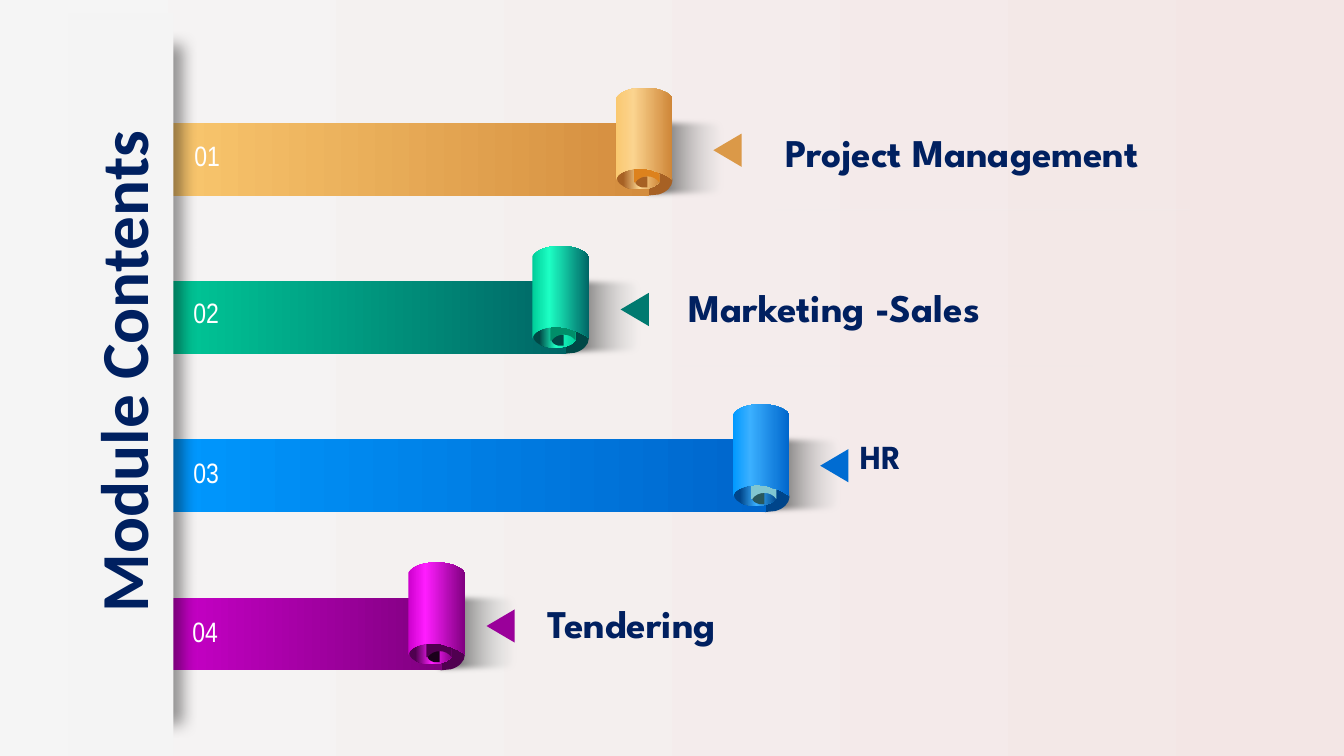
"""Build the Module Contents slide with four ribbon scrolls."""
from copy import deepcopy

from lxml import etree
from pptx import Presentation
from pptx.dml.color import RGBColor
from pptx.enum.shapes import MSO_CONNECTOR, MSO_SHAPE
from pptx.enum.text import MSO_AUTO_SIZE, PP_ALIGN
from pptx.oxml.ns import qn
from pptx.util import Inches, Pt

RECT, OVAL, TRIANGLE = MSO_SHAPE.RECTANGLE, MSO_SHAPE.OVAL, MSO_SHAPE.ISOSCELES_TRIANGLE
STRAIGHT = MSO_CONNECTOR.STRAIGHT
GROW = MSO_AUTO_SIZE.SHAPE_TO_FIT_TEXT
LEFT, CENTER = PP_ALIGN.LEFT, PP_ALIGN.CENTER
NAVY, PANEL = "002060", "F4F4F4"
FIRST_TOP, PITCH, BAR_LEFT = 0.87, 1.57, 1.51

# Pairs are straight segments; six numbers are a cubic curve.
OUTER_CURL = [(0.56, 0.92), (0.56, 0.98, 0.5, 1.04, 0.42, 1.06), (0.32, 1.07), (0.32, 0.76),
              (0.42, 0.77), (0.5, 0.8, 0.56, 0.85, 0.56, 0.92)]
INNER_CURL = [(0.19, 0.93), (0.19, 0.96, 0.22, 0.98, 0.26, 0.99), (0.31, 0.99), (0.31, 0.88),
              (0.26, 0.88), (0.22, 0.89, 0.19, 0.91, 0.19, 0.93)]
INNER_ROLL = [(0.18, 0.51), (0.2, 0.48, 0.25, 0.46, 0.31, 0.46),
              (0.36, 0.46, 0.41, 0.48, 0.43, 0.51), (0.43, 0.94),
              (0.4, 0.9, 0.36, 0.88, 0.31, 0.88), (0.26, 0.88, 0.22, 0.9, 0.19, 0.94),
              (0.18, 0.94)]
OUTER_ROLL = [(0.28, 0), (0.39, 0, 0.51, 0.03, 0.56, 0.1), (0.56, 0.91),
              (0.52, 0.88, 0.48, 0.86, 0.43, 0.84), (0.39, 0.83), (0.34, 0.81),
              (0.31, 0.81, 0.28, 0.8, 0.24, 0.8), (0.13, 0.8, 0.03, 0.84, 0.01, 0.89),
              (0, 0.92), (0, 0.1), (0.05, 0.03, 0.16, 0, 0.28, 0)]

SCROLLS = [
    {"x": 6.11, "bar": ("FAC86F", "D48D3E"), "roll": ("FAC86F", "FBD48F", "CE8537"),
     "oval": ("A76124", "FBD48F", "CE8537"), "curl": "A76124", "core": "A76124", "inside": "DD821D"},
    {"x": 5.28, "bar": ("00CC99", "006666"), "roll": ("00CC99", "1DFFC4", "006666"),
     "oval": ("004846", "1DFFC4", "00CC99"), "curl": "004846", "core": "004846", "inside": "008E69"},
    {"x": 7.27, "bar": ("0099FF", "0066CC"), "roll": ("0099FF", "3BB0FF", "0066CC"),
     "oval": ("00458A", "3BB0FF", "00458A"), "curl": "00458A", "core": "28585E", "inside": "81C6D1"},
    {"x": 4.05, "bar": ("CC00CC", "800080"), "roll": ("CC00CC", "FF1DFF", "800080"),
     "oval": ("500050", "FF1DFF", "800080"), "curl": "500050", "core": "1A001A", "inside": "500050"},
]
ARROWS = [(7.05, 1.35, "DB9948"), (6.13, 2.93, "007A70"),
          (8.11, 4.48, "006CD2"), (4.8, 6.07, "9A009A")]
RULES = [(7.69, 2.08), (6.73, 3.63)]
NUMBER = {"size": Pt(20), "name": "Arial Narrow", "color": "FFFFFF"}
LABEL = {"size": Pt(28), "name": "League Spartan", "color": NAVY, "bold": True}
TEXTS = [
    ("01", (1.83, 1.33, 0.55, 0.44), NUMBER, LEFT, 0),
    ("02", (1.82, 2.88, 0.55, 0.44), NUMBER, LEFT, 0),
    ("03", (1.82, 4.47, 0.55, 0.44), NUMBER, LEFT, 0),
    ("04", (1.81, 6.05, 0.55, 0.44), NUMBER, LEFT, 0),
    ("Project Management", (7.69, 1.22, 4.71, 0.57), LABEL, LEFT, 0),
    ("Marketing -Sales", (6.73, 2.76, 4.95, 0.57), LABEL, LEFT, 0),
    ("HR", (8.43, 4.28, 5.63, 0.5), {**LABEL, "size": Pt(24)}, LEFT, 0),
    ("Tendering", (5.33, 5.9, 4.59, 0.57), LABEL, LEFT, 0),
    ("Module Contents", (-2.47, 3.23, 7.37, 0.91),
     {"size": Pt(48), "name": "Calibri", "color": NAVY, "bold": True}, CENTER, 270),
]

rgb = RGBColor.from_string
prs = Presentation()
prs.slide_width, prs.slide_height = Inches(13.33), Inches(7.5)
s = prs.slides.add_slide(prs.slide_layouts[6])


def paint(sp, *stops):
    """Fill a shape with one colour or a left-to-right gradient."""
    sp.shadow.inherit = False
    sp.line.fill.background()
    if len(stops) == 1:
        sp.fill.solid()
        sp.fill.fore_color.rgb = rgb(stops[0])
        return sp
    sp.fill.gradient()
    sp.fill.gradient_angle = 0
    if len(stops) == 3:
        last = sp._element.spPr.findall(".//" + qn("a:gs"))[-1]
        last.addnext(deepcopy(last))
    for stop, (position, color) in zip(sp.fill.gradient_stops, stops):
        stop.position = position
        stop.color.rgb = rgb(color)
    return sp


def outline(segments, x, y):
    """Draw a closed outline of lines and curves at an offset."""
    ends = [(Inches(x + seg[-2]), Inches(y + seg[-1])) for seg in segments]
    builder = s.shapes.build_freeform(*ends[0], scale=1.0)
    builder.add_line_segments(ends[1:], close=True)
    sp = builder.convert_to_shape()
    lines = sp._element.spPr.findall(".//" + qn("a:lnTo"))
    for line, seg in zip(lines, segments[1:]):
        if len(seg) == 6:
            curve = etree.Element(qn("a:cubicBezTo"))
            for px, py in zip(seg[::2], seg[1::2]):
                etree.SubElement(curve, qn("a:pt"), x=str(Inches(x + px) - sp.left),
                                 y=str(Inches(y + py) - sp.top))
            line.getparent().replace(line, curve)
    return sp


fill = s.background.fill
fill.gradient()
fill.gradient_angle = 0
for stop, color in zip(fill.gradient_stops, ("F5F5F5", "F3E6E5")):
    stop.color.rgb = rgb(color)

for i, scroll in enumerate(SCROLLS):
    x, y = scroll["x"], FIRST_TOP + i * PITCH
    sp = s.shapes.add_shape(RECT, Inches(x + 0.21), Inches(y + 0.27), Inches(0.93), Inches(0.86))
    paint(sp, (0, "000000"), (1, "E9EBEA"))
    clear = sp._element.spPr.findall(".//" + qn("a:srgbClr"))[-1]
    etree.SubElement(clear, qn("a:alpha"), val="0")
    effects = sp._element.spPr.find(qn("a:effectLst"))
    etree.SubElement(effects, qn("a:softEdge"), rad=str(Pt(5)))

    paint(outline(OUTER_CURL, x, y), scroll["curl"])
    bar = s.shapes.add_shape(RECT, Inches(BAR_LEFT), Inches(y + 0.35),
                             Inches(x + 0.33 - BAR_LEFT), Inches(0.72))
    paint(bar, *zip((0, 1), scroll["bar"]))
    oval = s.shapes.add_shape(OVAL, Inches(x + 0.01), Inches(y + 0.79), Inches(0.43), Inches(0.22))
    paint(oval, *zip((0.14, 0.52, 1), scroll["oval"]))
    paint(outline(INNER_CURL, x, y), scroll["core"])
    paint(outline(INNER_ROLL, x, y), scroll["inside"])
    paint(outline(OUTER_ROLL, x, y), *zip((0, 0.3, 1), scroll["roll"]))

edge = paint(s.shapes.add_shape(RECT, Inches(1.16), Inches(0.45), Inches(0.55), Inches(6.72)), PANEL)
effects = edge._element.spPr.find(qn("a:effectLst"))
shadow = etree.SubElement(effects, qn("a:outerShdw"), blurRad=str(Pt(11)), dist=str(Pt(7)),
                          dir="0", algn="ctr", rotWithShape="0")
black = etree.SubElement(shadow, qn("a:srgbClr"), val="000000")
etree.SubElement(black, qn("a:alpha"), val="40000")
paint(s.shapes.add_shape(RECT, Inches(0.68), Inches(0.13), Inches(1.04), Inches(7.37)), PANEL)

for x, y, color in ARROWS:
    sp = s.shapes.add_shape(TRIANGLE, Inches(x), Inches(y), Inches(0.33), Inches(0.28))
    sp.rotation = 270
    paint(sp, color)

for x, y in RULES:
    rule = s.shapes.add_connector(STRAIGHT, Inches(x), Inches(y), Inches(x + 4.11), Inches(y))
    rule.line.color.rgb = rgb("F2F2F2")
    rule.line.width = Pt(0.5)
    color = rule._element.spPr.find(".//" + qn("a:srgbClr"))
    etree.SubElement(color, qn("a:alpha"), val="30000")
    etree.SubElement(rule._element.spPr, qn("a:effectLst"))

for text, box, style, align, rotation in TEXTS:
    sp = s.shapes.add_textbox(*map(Inches, box))
    sp.rotation = rotation
    tf = sp.text_frame
    tf.word_wrap = True
    tf.auto_size = GROW
    p = tf.paragraphs[0]
    p.alignment = align
    r = p.add_run()
    r.text = text
    for name, value in style.items():
        if name == "color":
            r.font.color.rgb = rgb(value)
        else:
            setattr(r.font, name, value)

prs.save("out.pptx")
